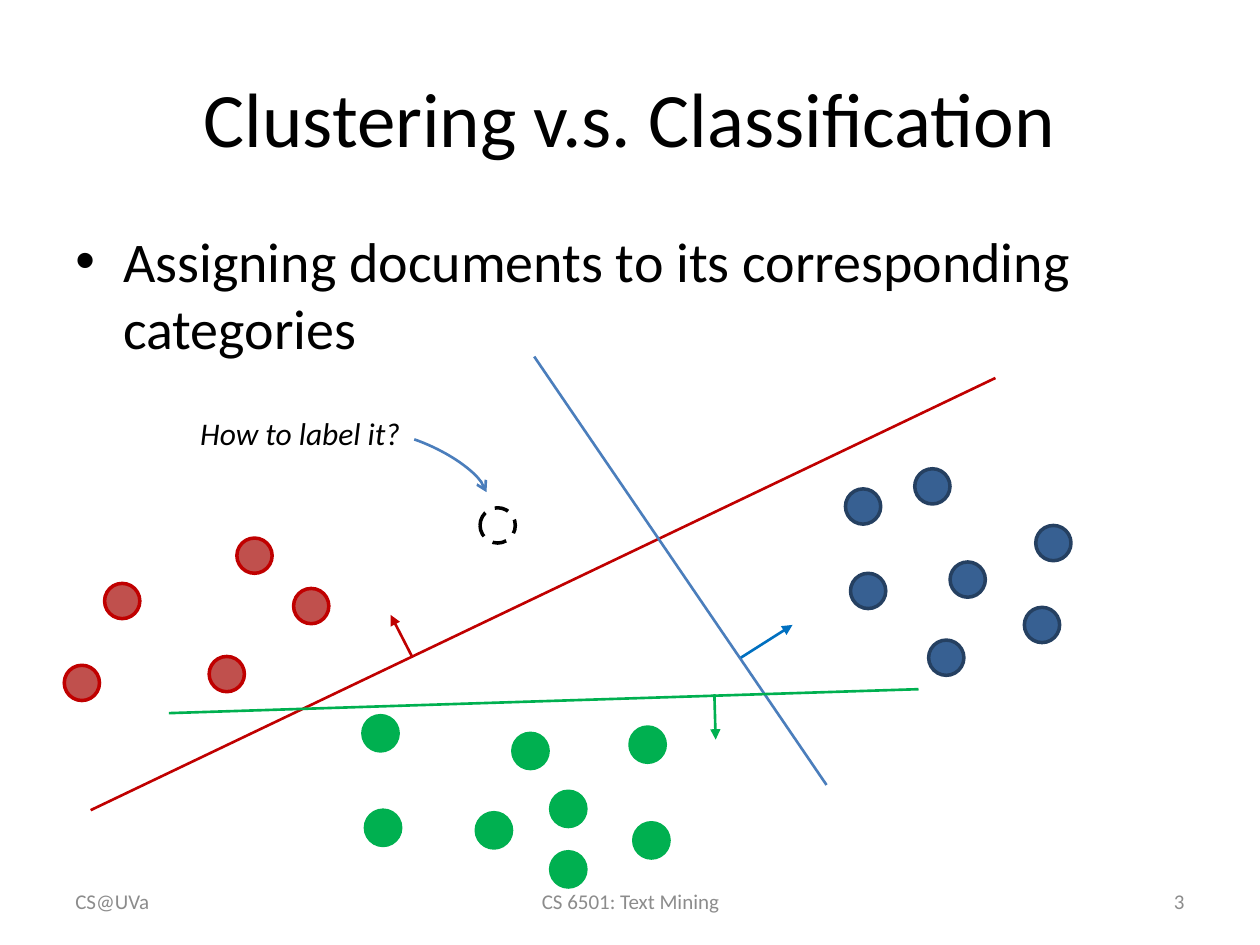
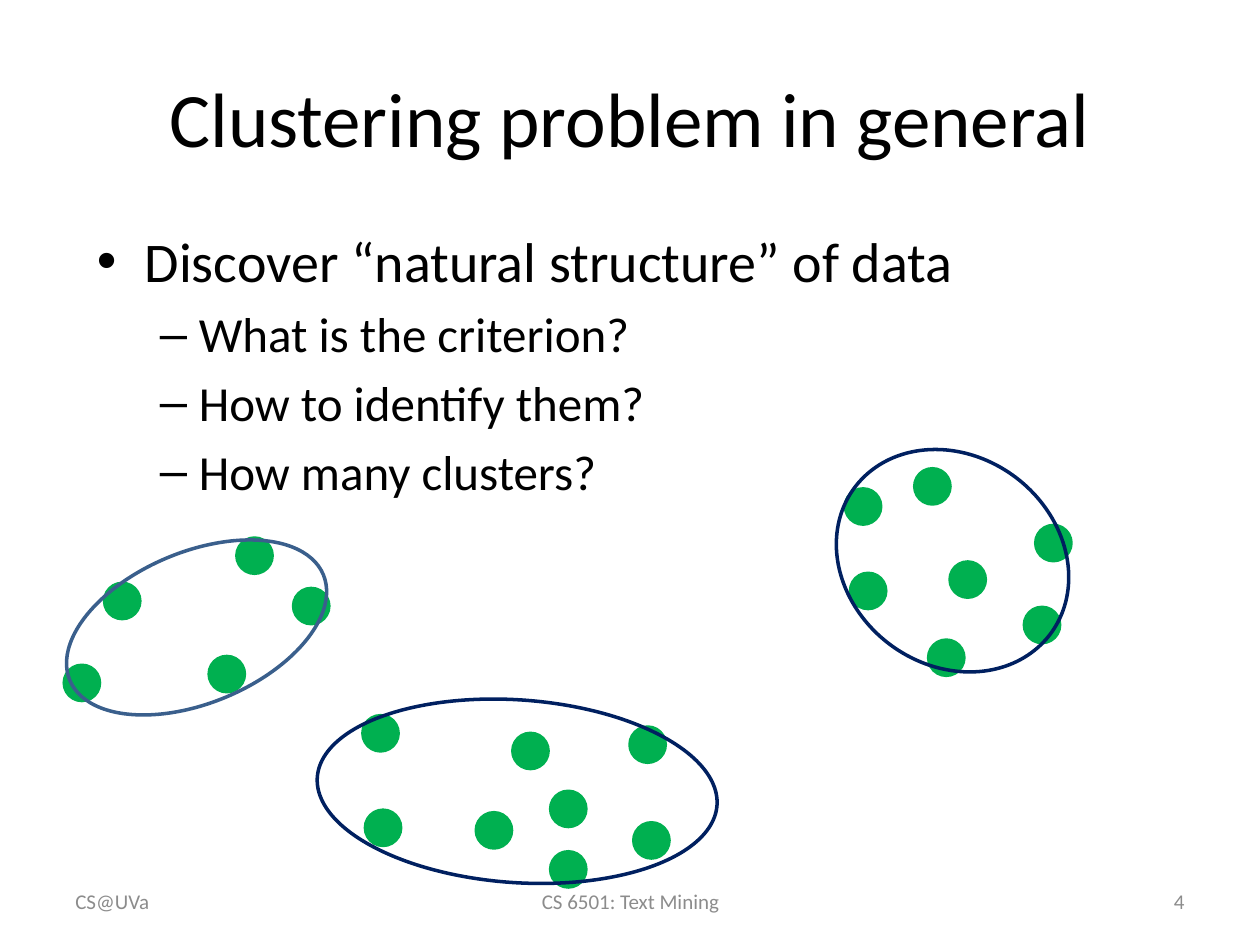
from lxml.etree import SubElement
from pptx import Presentation
from pptx.dml.color import RGBColor
from pptx.enum.dml import MSO_LINE
from pptx.enum.shapes import MSO_CONNECTOR, MSO_SHAPE
from pptx.enum.text import MSO_ANCHOR, PP_ALIGN
from pptx.oxml.ns import qn
from pptx.util import Inches, Pt

BLACK = RGBColor(0x00, 0x00, 0x00)
WHITE = RGBColor(0xFF, 0xFF, 0xFF)
GRAY = RGBColor(0x8C, 0x8C, 0x8C)
GREEN = RGBColor(0x00, 0xB0, 0x50)
RED = RGBColor(0xC0, 0x00, 0x00)
SOFT_RED = RGBColor(0xC0, 0x50, 0x4D)
BLUE = RGBColor(0x37, 0x60, 0x92)
DARK_BLUE = RGBColor(0x25, 0x40, 0x61)
LINE_BLUE = RGBColor(0x4B, 0x7E, 0xBC)
ARROW_BLUE = RGBColor(0x00, 0x70, 0xC0)
STEEL = RGBColor(0x3A, 0x5F, 0x8C)
NAVY = RGBColor(0x00, 0x20, 0x60)

FONT = "Calibri"
DOT_SIZE = 0.28
BULLET_LEVELS = [("•", 32, 0.38, 0.38), ("–", 28, 0.81, 0.31)]
FOOTER_BOXES = [
    ((0.5, 6.95, 2.33, 0.4), PP_ALIGN.LEFT),
    ((3.42, 6.95, 3.17, 0.4), PP_ALIGN.CENTER),
    ((7.17, 6.95, 2.33, 0.4), PP_ALIGN.RIGHT),
]

GREEN_CLUSTER = [(2.88, 5.68), (4.07, 5.82), (4.37, 6.28), (4.37, 6.76),
                 (3.78, 6.45), (2.9, 6.43), (5, 5.77), (5.03, 6.53)]
RED_CLUSTER = [(0.83, 4.63), (2.33, 4.67), (1.88, 4.27), (0.51, 5.28), (1.66, 5.21)]
BLUE_CLUSTER = [(7.37, 5.08), (6.75, 4.55), (7.26, 3.72), (7.54, 4.46),
                (8.22, 4.17), (8.13, 4.82), (6.71, 3.88)]
UNLABELED = [(3.81, 4.03)]

PAGES = [
    {
        "title": "Clustering v.s. Classification",
        "number": "3",
        "body_box": (0.5, 1.75, 9, 4.95),
        "bullets": [(0, "Assigning documents to its corresponding categories")],
        "clusters": [
            (GREEN_CLUSTER, GREEN, GREEN, None),
            (RED_CLUSTER, SOFT_RED, RED, None),
            (BLUE_CLUSTER, BLUE, DARK_BLUE, None),
            (UNLABELED, WHITE, BLACK, MSO_LINE.DASH),
        ],
        "boundaries": [
            ((0.72, 6.43), (7.9, 3), RED, None),
            ((4.24, 2.83), (6.56, 6.23), LINE_BLUE, None),
            ((1.34, 5.66), (7.29, 5.47), GREEN, None),
            ((3.27, 5.21), (3.1, 4.88), RED, "triangle"),
            ((5.67, 5.51), (5.68, 5.87), GREEN, "triangle"),
            ((5.88, 5.22), (6.29, 4.96), ARROW_BLUE, "triangle"),
        ],
        "outlines": [],
    },
    {
        "title": "Clustering problem in general",
        "number": "4",
        "body_box": (0.67, 1.75, 8.5, 4.5),
        "bullets": [
            (0, "Discover “natural structure” of data"),
            (1, "What is the criterion?"),
            (1, "How to identify them?"),
            (1, "How many clusters?"),
        ],
        "clusters": [(GREEN_CLUSTER + RED_CLUSTER + BLUE_CLUSTER, GREEN, GREEN, None)],
        "boundaries": [],
        "outlines": [
            ((0.47, 4.38, 2.18, 1.2), 337.4, STEEL),
            ((3.38, 4.69, 1.45, 3.18), 274, NAVY),
            ((6.73, 3.48, 1.66, 1.94), 306.8, NAVY),
        ],
    },
]


def add_text(slide, box, lines, size, color=BLACK, align=PP_ALIGN.LEFT, anchor=MSO_ANCHOR.TOP):
    frame = slide.shapes.add_textbox(*map(Inches, box)).text_frame
    frame.word_wrap = True
    frame.vertical_anchor = anchor
    frame.text = "\n".join(lines)
    for paragraph in frame.paragraphs:
        paragraph.alignment = align
        paragraph.font.name = FONT
        paragraph.font.size = Pt(size)
        paragraph.font.color.rgb = color
    return frame


def style_line(shape, color, width, arrowhead=None):
    shape.line.color.rgb = color
    shape.line.width = Pt(width)
    properties = shape.element.spPr
    if arrowhead:
        SubElement(properties.find(qn("a:ln")), qn("a:tailEnd"), type=arrowhead)
    SubElement(properties, qn("a:effectLst"))


presentation = Presentation()
presentation.slide_width = Inches(10)
presentation.slide_height = Inches(7.5)

for page in PAGES:
    slide = presentation.slides.add_slide(presentation.slide_layouts[6])
    add_text(slide, (0.5, 0.3, 9, 1.25), [page["title"]], 44,
             align=PP_ALIGN.CENTER, anchor=MSO_ANCHOR.MIDDLE)

    body = add_text(slide, page["body_box"], [text for _, text in page["bullets"]], 32)
    for paragraph, (level, _) in zip(body.paragraphs, page["bullets"]):
        character, size, margin, hanging = BULLET_LEVELS[level]
        paragraph.level = level
        paragraph.font.size = Pt(size)
        paragraph.space_before = Pt(size * 0.2)
        properties = paragraph._p.get_or_add_pPr()
        properties.set("marL", str(Inches(margin)))
        properties.set("indent", str(-Inches(hanging)))
        bullet_font = properties.makeelement(qn("a:buFont"), {"typeface": "Arial"})
        bullet = properties.makeelement(qn("a:buChar"), {"char": character})
        properties.find(qn("a:spcBef")).addnext(bullet_font)
        bullet_font.addnext(bullet)

    footers = ["CS@UVa", "CS 6501: Text Mining", page["number"]]
    for text, (box, align) in zip(footers, FOOTER_BOXES):
        add_text(slide, box, [text], 12, GRAY, align, MSO_ANCHOR.MIDDLE)

    for positions, fill, outline, dash in page["clusters"]:
        for left, top in positions:
            dot = slide.shapes.add_shape(MSO_SHAPE.OVAL, Inches(left), Inches(top),
                                         Inches(DOT_SIZE), Inches(DOT_SIZE))
            dot.fill.solid()
            dot.fill.fore_color.rgb = fill
            style_line(dot, outline, 2)
            dot.line.dash_style = dash

    for start, end, color, arrowhead in page["boundaries"]:
        connector = slide.shapes.add_connector(MSO_CONNECTOR.STRAIGHT, *map(Inches, start + end))
        style_line(connector, color, 1.5, arrowhead)

    for box, rotation, color in page["outlines"]:
        outline = slide.shapes.add_shape(MSO_SHAPE.OVAL, *map(Inches, box))
        outline.rotation = rotation
        outline.fill.background()
        style_line(outline, color, 2)

classification_slide = presentation.slides[0]
question = add_text(classification_slide, (1.49, 3.24, 2.01, 0.4), ["How to label it?"], 18)
question.paragraphs[0].font.italic = True

pointer = classification_slide.shapes.add_shape(
    MSO_SHAPE.ARC, Inches(2.8), Inches(3.53), Inches(1.11), Inches(0.39))
pointer.adjustments[0] = 137.42
pointer.adjustments[1] = 212.68
pointer.rotation = 25.2
pointer.fill.background()
style_line(pointer, LINE_BLUE, 1.5, "arrow")

presentation.save("out.pptx")
